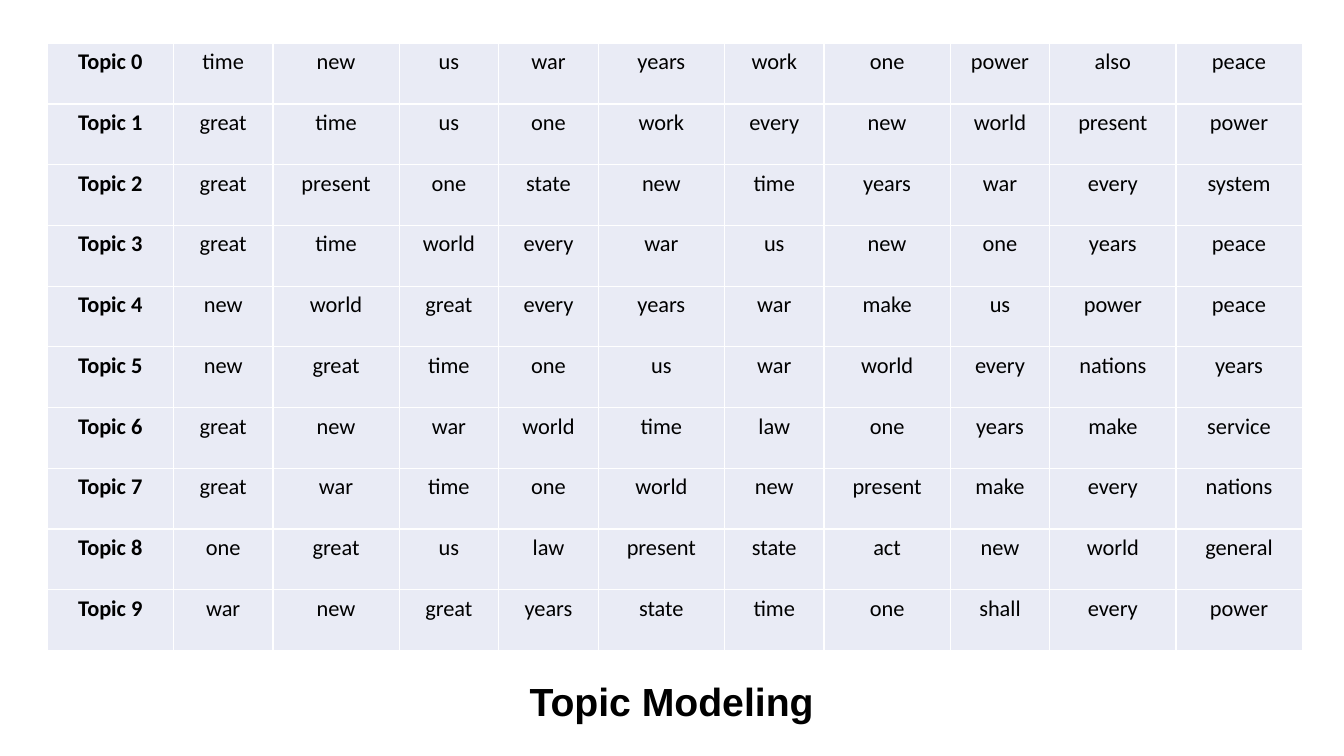
from dataclasses import dataclass
from typing import Any

import lxml.etree
import pptx
import pptx.dml.color
import pptx.enum.text
import pptx.oxml.ns
import pptx.util

Cm, Pt = pptx.util.Cm, pptx.util.Pt

BLACK, WHITE, PALE_BLUE = "000000", "FFFFFF", "E9EBF5"
WIDE, NARROW = 3.18, 2.51
COLUMN_WIDTHS = [WIDE, NARROW, WIDE, NARROW, NARROW, WIDE,
                 NARROW, WIDE, NARROW, WIDE, WIDE]
ROW_HEIGHT = 1.53


@dataclass
class Topic:
    number: int
    words: str

    def row(self) -> list[str]:
        return [f"Topic {self.number}", *self.words.split()]


TOPICS = [Topic(number, words) for number, words in enumerate([
    "time new us war years work one power also peace",
    "great time us one work every new world present power",
    "great present one state new time years war every system",
    "great time world every war us new one years peace",
    "new world great every years war make us power peace",
    "new great time one us war world every nations years",
    "great new war world time law one years make service",
    "great war time one world new present make every nations",
    "one great us law present state act new world general",
    "war new great years state time one shall every power",
])]


def colour(value: str) -> pptx.dml.color.RGBColor:
    return pptx.dml.color.RGBColor.from_string(value)


def write(frame: Any, text: str, *, font: str, size: float, bold: bool = False) -> None:
    para = frame.paragraphs[0]
    para.alignment = pptx.enum.text.PP_ALIGN.CENTER
    span = para.add_run()
    span.text = text
    span.font.name = font
    span.font.size = Pt(size)
    span.font.bold = bold
    span.font.color.rgb = colour(BLACK)


def set_borders(cell: Any, value: str, width: float) -> None:
    properties = cell._tc.get_or_add_tcPr()
    qn = pptx.oxml.ns.qn
    for position, side in enumerate(("a:lnL", "a:lnR", "a:lnT", "a:lnB")):
        line = lxml.etree.Element(qn(side), w=str(Pt(width)))
        fill = lxml.etree.SubElement(line, qn("a:solidFill"))
        lxml.etree.SubElement(fill, qn("a:srgbClr"), val=value)
        properties.insert(position, line)


def format_cell(cell: Any) -> None:
    cell.margin_left = cell.margin_right = Cm(0.18)
    cell.margin_top = cell.margin_bottom = Cm(0.13)
    cell.fill.solid()
    cell.fill.fore_color.rgb = colour(PALE_BLUE)
    set_borders(cell, WHITE, 1)


def add_topic_table(page: Any, topics: list[Topic]) -> None:
    table = page.shapes.add_table(
        len(topics), len(COLUMN_WIDTHS), Cm(1.19), Cm(1.09),
        Cm(sum(COLUMN_WIDTHS)), Cm(ROW_HEIGHT * len(topics))).table
    table.first_row = table.horz_banding = False
    for column, width in zip(table.columns, COLUMN_WIDTHS):
        column.width = Cm(width)
    for row, topic in zip(table.rows, topics):
        row.height = Cm(ROW_HEIGHT)
        for index, (cell, text) in enumerate(zip(row.cells, topic.row())):
            format_cell(cell)
            write(cell.text_frame, text, font="Calibri", size=16, bold=index == 0)


def format_title(page: Any, text: str) -> None:
    title = page.shapes.title
    title.left, title.top = Cm(11.86), Cm(16.94)
    title.width, title.height = Cm(10.13), Cm(1.45)
    frame = title.text_frame
    frame.word_wrap = True
    frame.auto_size = pptx.enum.text.MSO_AUTO_SIZE.SHAPE_TO_FIT_TEXT
    frame.vertical_anchor = pptx.enum.text.MSO_ANCHOR.TOP
    write(frame, text, font="Arial", size=28, bold=True)


def main() -> None:
    deck = pptx.Presentation()
    deck.slide_width, deck.slide_height = Cm(33.87), Cm(19.05)
    page = deck.slides.add_slide(deck.slide_layouts.get_by_name("Title Only"))

    # Topic words
    add_topic_table(page, TOPICS)

    # Title below the table
    format_title(page, "Topic Modeling")

    deck.save("out.pptx")


if __name__ == "__main__":
    main()
